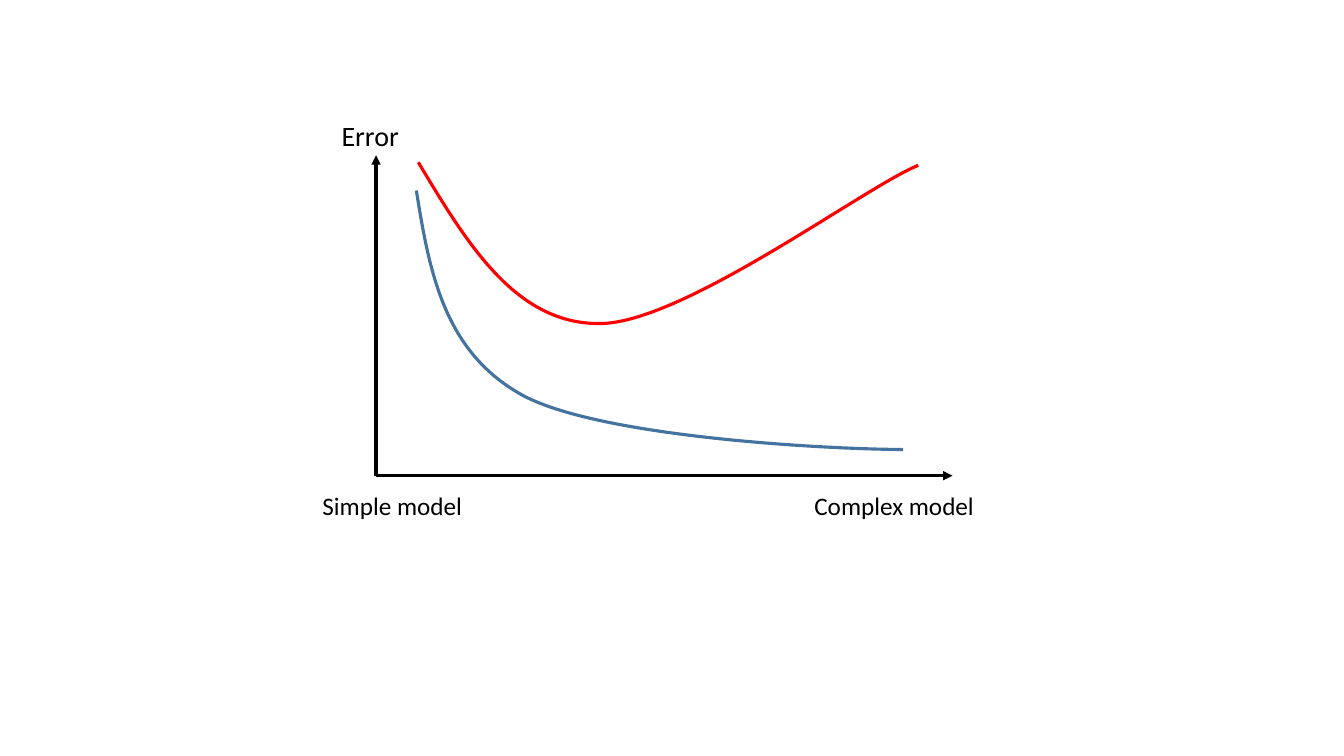
from lxml.etree import SubElement
from pptx import Presentation
from pptx.dml.color import RGBColor
from pptx.enum.shapes import MSO_CONNECTOR
from pptx.enum.text import MSO_AUTO_SIZE
from pptx.oxml.ns import qn
from pptx.util import Pt

BLACK, BLUE, RED = "000000", "43739E", "FF0000"
LINE_WIDTH = 2.25
ORIGIN = (268.6, 339.8)
ERROR_AXIS_END = (268.6, 110.9)
MODEL_AXIS_END = (680.4, 339.8)

# Each curve: start point, then two control points and an end point per segment
TRAINING_CURVE = [(297.4, 136.1), (306.7, 193.7), (316.8, 252), (374.4, 283),
                  (432.7, 313.2), (596.9, 321.1), (645.1, 321.1)]
TEST_CURVE = [(298.8, 115.9), (333.4, 173.5), (367.9, 231.1), (427.7, 231.1),
              (486.7, 231.8), (617, 133.9), (655.9, 118.1)]

# Text, left, top, width, height, font size
LABELS = [("Error", 236.9, 81.4, 56.2, 31.7, 20),
          ("Simple model", 223.2, 347, 115.9, 28.8, 18),
          ("Complex model", 574.6, 347, 129.6, 28.8, 18)]


def colour(value):
    return RGBColor.from_string(value)


def set_line(line, value):
    line.color.rgb = colour(value)
    line.width = Pt(LINE_WIDTH)


def add_axis(page, start, end):
    axis = page.shapes.add_connector(
        MSO_CONNECTOR.STRAIGHT, *[Pt(value) for value in start + end])
    set_line(axis.line, BLACK)
    properties = axis.element.spPr
    SubElement(properties.find(qn("a:ln")), qn("a:tailEnd"), type="triangle")
    SubElement(properties, qn("a:effectLst"))


def add_label(page, text, left, top, width, height, size):
    box = page.shapes.add_textbox(Pt(left), Pt(top), Pt(width), Pt(height))
    frame = box.text_frame
    frame.word_wrap = False
    frame.auto_size = MSO_AUTO_SIZE.SHAPE_TO_FIT_TEXT
    span = frame.paragraphs[0].add_run()
    span.text = text
    for name, value in {"name": "Calibri", "size": Pt(size)}.items():
        setattr(span.font, name, value)
    span.font.color.rgb = colour(BLACK)


def add_curve(page, points, value):
    start, *others = [(Pt(x), Pt(y)) for x, y in points]
    builder = page.shapes.build_freeform(*start)
    builder.add_line_segments(others, close=False)
    curve = builder.convert_to_shape()
    curve.shadow.inherit = False
    curve.fill.background()
    set_line(curve.line, value)

    # Turn every three straight steps into one cubic Bézier segment
    outline = curve.element.find(".//" + qn("a:path"))
    steps = outline.findall(qn("a:lnTo"))
    for first in range(0, len(steps), 3):
        segment = SubElement(outline, qn("a:cubicBezTo"))
        for step in steps[first:first + 3]:
            segment.append(step[0])
            outline.remove(step)


def main():
    deck = Presentation()
    deck.slide_width, deck.slide_height = Pt(960), Pt(540)
    page = deck.slides.add_slide(deck.slide_layouts[6])

    # Axes
    for end in (ERROR_AXIS_END, MODEL_AXIS_END):
        add_axis(page, ORIGIN, end)

    # Axis labels
    for label in LABELS:
        add_label(page, *label)

    # Error curves
    add_curve(page, TRAINING_CURVE, BLUE)
    add_curve(page, TEST_CURVE, RED)

    deck.save("out.pptx")


if __name__ == "__main__":
    main()
